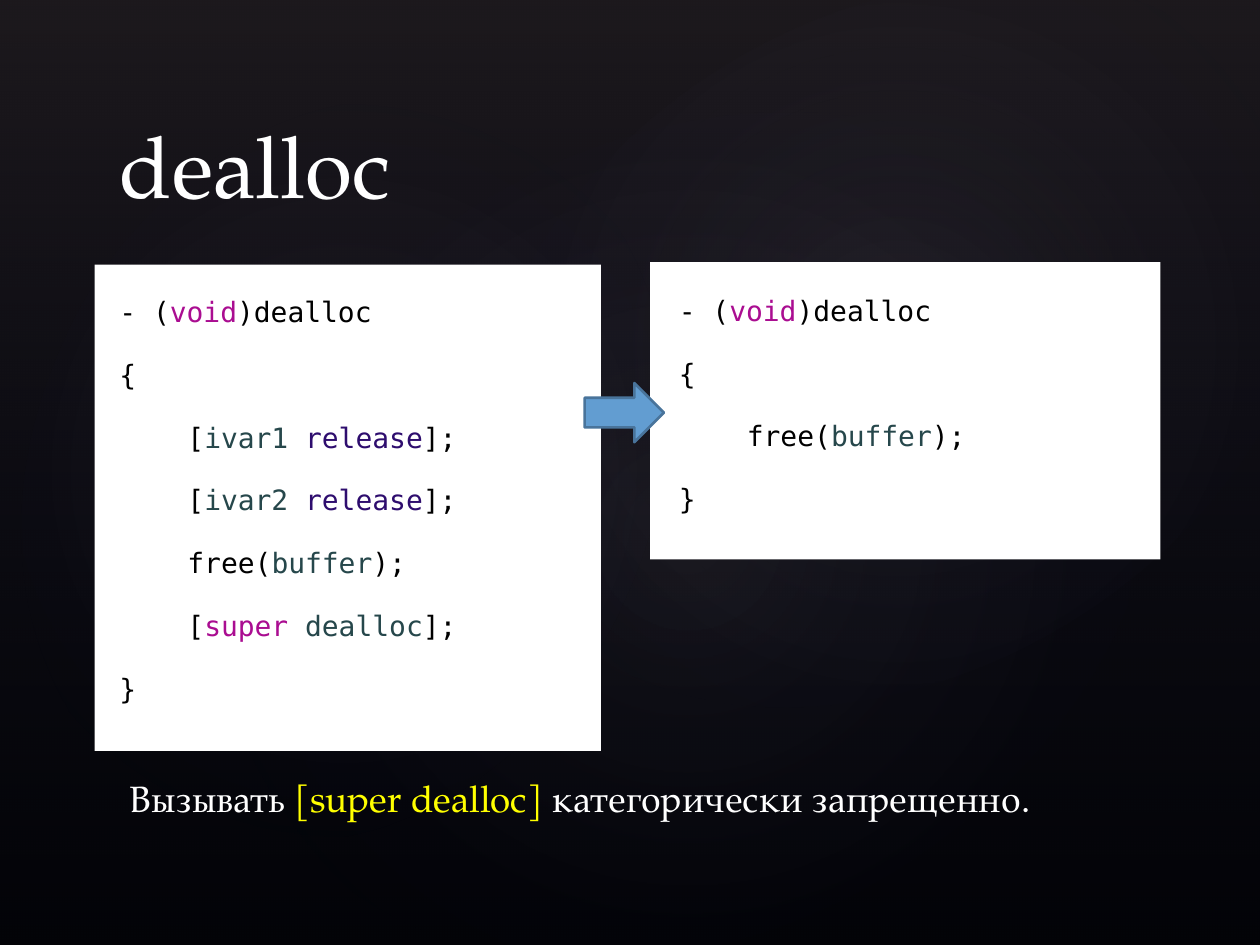
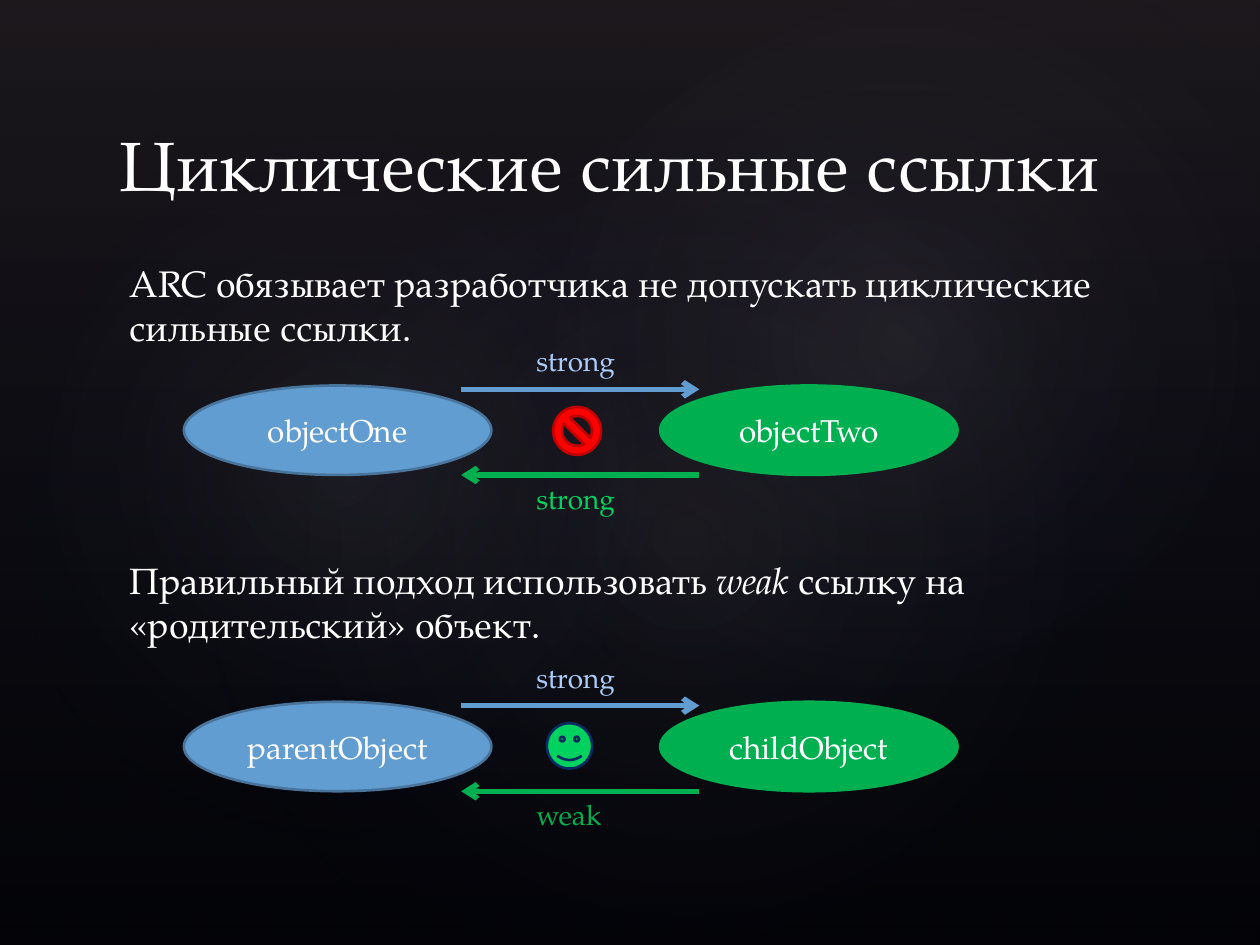
import pptx
import pptx.util
import pptx.dml.color
import pptx.enum.shapes
import pptx.enum.text
import pptx.oxml
import pptx.oxml.ns
from pptx.util import Inches

SHAPE = pptx.enum.shapes.MSO_SHAPE
ANCHOR = pptx.enum.text.MSO_ANCHOR
ALIGN = pptx.enum.text.PP_ALIGN
NS = pptx.oxml.ns.nsdecls("a")

COLORS = {
    "black": "000000", "white": "FFFFFF", "yellow": "FFFF00",
    "haze": "504652", "navy": "242852", "glow": "C4BCC6",
    "blue": "629DD1", "blue_edge": "49749B", "pale_blue": "ACCBF9",
    "green": "00B050", "bright_green": "00D25F", "deep_blue": "072C62",
    "red": "FF0000", "dark_red": "C00000",
    "keyword": "AA0D91", "variable": "26474B", "method": "2E0D6E",
}
SERIF = "TeX Gyre Pagella"
MONO = "DejaVu Sans Mono"
CODE_INDENT = 0.54


def rgb(color):
    return pptx.dml.color.RGBColor.from_string(COLORS[color])


class Deck:
    def __init__(self):
        self.prs = pptx.Presentation()
        self.prs.slide_width, self.prs.slide_height = Inches(10), Inches(7.5)
        self.s = None

    def new_slide(self, title, top, size):
        self.s = self.prs.slides.add_slide(self.prs.slide_layouts[5])
        sp = self.s.shapes.title
        sp.left, sp.top, sp.width, sp.height = map(Inches, (0.85, top, 8.25, 1))
        tf = sp.text_frame
        tf.vertical_anchor = ANCHOR.BOTTOM
        tf.auto_size = pptx.enum.text.MSO_AUTO_SIZE.NONE
        self.paragraph(tf.paragraphs[0], [title], size, align=ALIGN.LEFT)

    def paragraph(self, p, runs, size, color="white", font=SERIF, align=None):
        p.alignment = align
        p.font.name, p.font.size = font, pptx.util.Pt(size)
        p.font.color.rgb = rgb(color)
        for run in runs:
            text, style = (run, None) if isinstance(run, str) else run
            r = p.add_run() if p.runs or p.text == "" else None
            r.text = text
            if style == "italic":
                r.font.italic = True
            elif style:
                r.font.color.rgb = rgb(style)

    def indent(self, p, size, left=0.02):
        pPr = p._p.get_or_add_pPr()
        pPr.set("marL", str(Inches(left)))
        pPr.set("indent", "0")
        p.space_before = pptx.util.Pt(round(size * 0.24, 1))

    def text_box(self, *at, wrap=True):
        tf = self.s.shapes.add_textbox(*map(Inches, at)).text_frame
        tf.word_wrap = wrap
        return tf

    def body(self, top, height, width, runs):
        p = self.text_box(0.91, top, width, height).paragraphs[0]
        self.paragraph(p, runs, 21)
        self.indent(p, 21)

    def label(self, top, width, text, color):
        tf = self.text_box(4.16, top, width, 0.37, wrap=False)
        self.paragraph(tf.paragraphs[0], [text], 16, color)

    def shape(self, kind, at, fill, edge=None, text=None):
        sp = self.s.shapes.add_shape(kind, *map(Inches, at))
        sp.shadow.inherit = False
        sp.fill.solid()
        sp.fill.fore_color.rgb = rgb(fill)
        if edge:
            sp.line.color.rgb = rgb(edge)
            sp.line.width = pptx.util.Pt(1.5)
        else:
            sp.line.fill.background()
        if text:
            tf = sp.text_frame
            tf.vertical_anchor = ANCHOR.MIDDLE
            self.paragraph(tf.paragraphs[0], [text], 18, align=ALIGN.CENTER)
        return sp

    def code(self, panel, at, lines):
        self.shape(SHAPE.RECTANGLE, panel, "white")
        tf = self.text_box(*at)
        for i, (level, runs) in enumerate(lines):
            p = tf.add_paragraph() if i else tf.paragraphs[0]
            self.paragraph(p, runs, 16, "black", MONO)
            self.indent(p, 16, 0.02 + level * CODE_INDENT)
            p.line_spacing = 1.15
            p.space_after = pptx.util.Pt(10)

    def arrow(self, x1, x2, y, color):
        cx = self.s.shapes.add_connector(
            pptx.enum.shapes.MSO_CONNECTOR.STRAIGHT,
            Inches(x1), Inches(y), Inches(x2), Inches(y))
        cx.line.color.rgb = rgb(color)
        cx.line.width = pptx.util.Pt(3)
        cx.line._get_or_add_ln().append(
            pptx.oxml.parse_xml(f'<a:tailEnd {NS} type="arrow"/>'))
        cx._element.spPr.append(pptx.oxml.parse_xml(f"<a:effectLst {NS}/>"))

    def gradient(self, sp, stops, direction):
        gs = "".join(
            f'<a:gs pos="{pos * 1000}"><a:srgbClr val="{COLORS[color]}">'
            f'<a:alpha val="{alpha * 1000}"/></a:srgbClr></a:gs>'
            for pos, color, alpha in stops)
        grad = pptx.oxml.parse_xml(
            f'<a:gradFill {NS} rotWithShape="1"><a:gsLst>{gs}</a:gsLst>'
            f"{direction}</a:gradFill>")
        solid = sp._element.spPr.find(pptx.oxml.ns.qn("a:solidFill"))
        solid.getparent().replace(solid, grad)

    def backdrop(self):
        master = self.prs.slide_master
        master.background.fill.solid()
        master.background.fill.fore_color.rgb = rgb("black")
        veil = self.shape(SHAPE.RECTANGLE, (0, 0, 10, 7.5), "haze")
        self.gradient(veil, [(0, "haze", 36), (100, "navy", 10)],
                      '<a:lin ang="5400000" scaled="0"/>')
        layers = [veil]
        for at, angle, alpha in (
                ((1.5, 1.14, 7.92, 6.24), 328.7, 7),
                ((-0.3, 1.28, 6.06, 4.9), 294.3, 8),
                ((3.58, 0.13, 7.09, 5.2), 328.7, 8)):
            sp = self.shape(SHAPE.OVAL, at, "glow")
            sp.rotation = angle
            self.gradient(
                sp, [(0, "glow", alpha), (58, "navy", 0)],
                '<a:path path="circle">'
                '<a:fillToRect l="50000" t="50000" r="50000" b="50000"/></a:path>')
            layers.append(sp)
        for i, sp in enumerate(layers):
            sp._element.nvSpPr.cNvPr.set("id", str(100 + i))
            master.shapes._spTree.insert(2 + i, sp._element)

    def reference_pair(self, top, left_name, right_name, back_label, back_width, back_color):
        bottom = top + 0.71
        self.shape(SHAPE.OVAL, (1.46, top, 2.44, 0.71), "blue", "blue_edge", left_name)
        self.shape(SHAPE.OVAL, (5.24, top, 2.36, 0.71), "green", "green", right_name)
        self.arrow(3.66, 5.55, top + 0.03, "blue")
        self.arrow(5.55, 3.66, bottom, "green")
        self.label(bottom, back_width, back_label, back_color)
        self.label(top - 0.38, 0.84, "strong", "pale_blue")


def release(variable):
    return 1, ["[", (variable + " ", "variable"), ("release", "method"), "];"]


def main():
    deck = Deck()
    opening = [(0, ["- (", ("void", "keyword"), ")dealloc"]), (0, ["{"])]
    free = (1, ["free(", ("buffer", "variable"), ");"])
    call_super = (1, ["[", ("super", "keyword"), (" dealloc", "variable"), "];"])
    closing = (0, ["}"])

    deck.new_slide("dealloc", 0.76, 49)
    deck.backdrop()
    deck.body(6.11, 0.71, 7.87, [
        "Вызывать ", ("[super dealloc] ", "yellow"), "категорически запрещенно."])
    deck.code((5.16, 2.08, 4.05, 2.36), (5.27, 2.24, 3.94, 2.13),
              [*opening, free, closing])
    deck.code((0.75, 2.1, 4.02, 3.86), (0.83, 2.25, 3.94, 3.54),
              [*opening, release("ivar1"), release("ivar2"), free, call_super, closing])
    deck.shape(SHAPE.RIGHT_ARROW, (4.64, 3.04, 0.63, 0.47), "blue", "blue_edge")

    deck.new_slide("Циклические сильные ссылки", 0.68, 40)
    deck.body(2.02, 0.87, 8.11, [
        "ARC обязывает разработчика не допускать циклические сильные ссылки."])
    deck.reference_pair(3.06, "objectOne", "objectTwo", "strong", 0.84, "bright_green")
    deck.body(4.38, 0.87, 8.11, [
        "Правильный подход использовать ", ("weak ", "italic"),
        "ссылку на «родительский» объект."])
    deck.reference_pair(5.57, "parentObject", "childObject", "weak", 0.73, "green")
    deck.shape(SHAPE.NO_SYMBOL, (4.39, 3.23, 0.38, 0.38), "red", "dark_red")
    deck.shape(SHAPE.SMILEY_FACE, (4.34, 5.74, 0.36, 0.36), "bright_green", "deep_blue")

    deck.prs.save("out.pptx")


if __name__ == "__main__":
    main()
